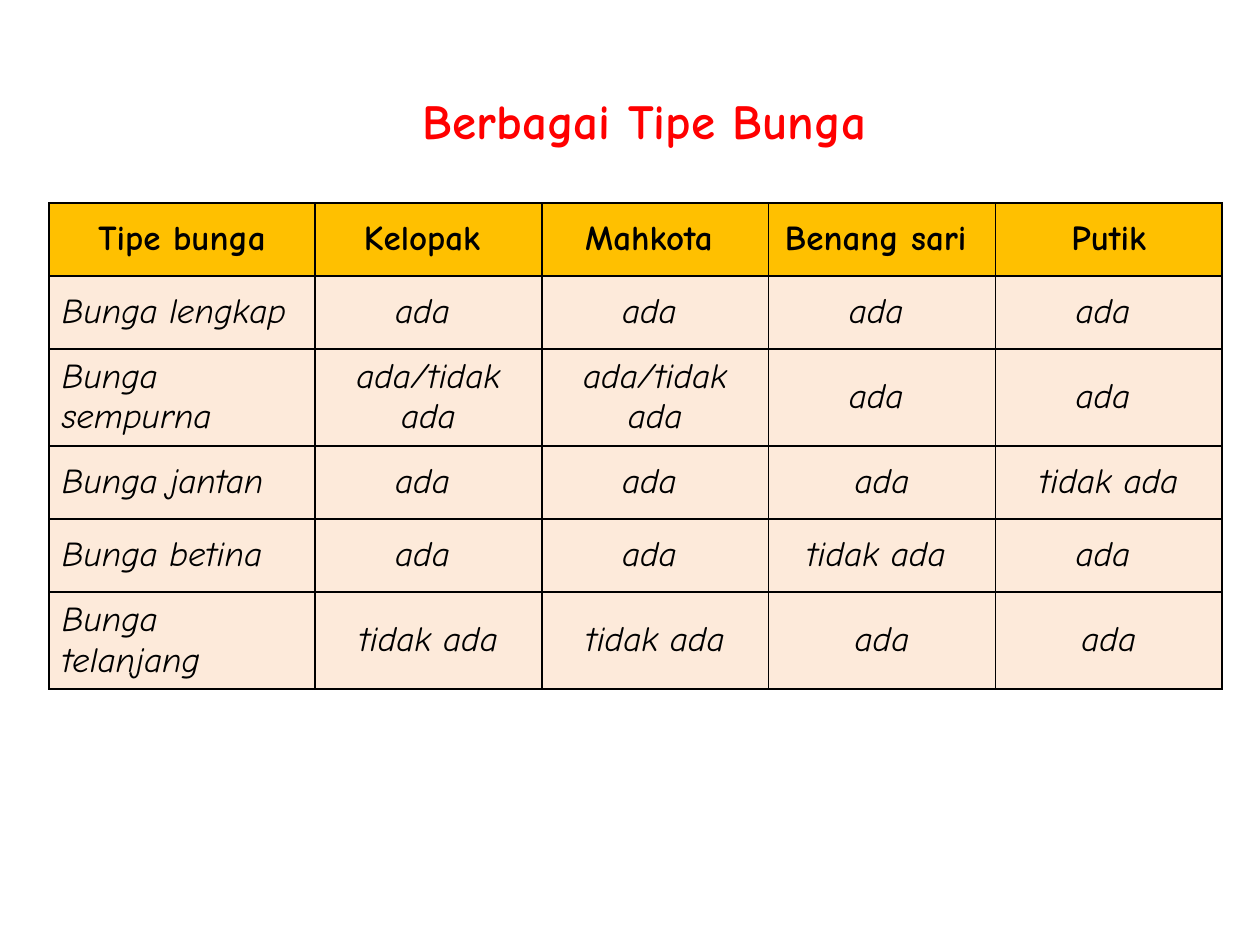
from lxml import etree
from pptx import Presentation
from pptx.dml.color import RGBColor
from pptx.enum.text import MSO_ANCHOR, MSO_AUTO_SIZE, PP_ALIGN
from pptx.oxml.ns import qn
from pptx.util import Inches, Pt

CENTER, LEFT = PP_ALIGN.CENTER, PP_ALIGN.LEFT
MIDDLE = MSO_ANCHOR.MIDDLE
FIT = MSO_AUTO_SIZE.SHAPE_TO_FIT_TEXT

RED = RGBColor(0xFF, 0x00, 0x00)
BLACK = RGBColor(0x00, 0x00, 0x00)
GOLD = RGBColor(0xFF, 0xC0, 0x00)
PEACH = RGBColor(0xFD, 0xEA, 0xDA)
FONT = "Comic Neue"

COLS = [2.11] + [1.8] * 4
LOW, HIGH = 0.58, 0.77
ROWS = [LOW, LOW, HIGH, LOW, LOW, HIGH]
DATA = [
    ["Tipe bunga", "Kelopak ", "Mahkota ", "Benang sari ", "Putik"],
    ["Bunga lengkap", "ada ", "ada ", "ada ", "ada "],
    ["Bunga sempurna", "ada/tidak ada", "ada/tidak ada", "ada ", "ada "],
    ["Bunga jantan", "ada ", "ada ", "ada", "tidak ada"],
    ["Bunga betina", "ada ", "ada ", "tidak ada ", "ada "],
    ["Bunga telanjang", "tidak ada", "tidak ada", "ada", "ada"],
]


def write(frame, text, size, color, align, bold=False, italic=False):
    """Put one styled run into the first paragraph of a frame."""
    para = frame.paragraphs[0]
    para.alignment = align
    run = para.add_run()
    run.text = text
    font = run.font
    font.name, font.size = FONT, Pt(size)
    font.bold, font.italic = bold, italic
    font.color.rgb = color


def border(cell):
    """Draw a thin black line on each side of a cell."""
    props = cell._tc.get_or_add_tcPr()
    for side in ("a:lnL", "a:lnR", "a:lnT", "a:lnB"):
        line = etree.SubElement(props, qn(side), w=str(Pt(1)))
        fill = etree.SubElement(line, qn("a:solidFill"))
        etree.SubElement(fill, qn("a:srgbClr"), val=str(BLACK))


def add_title(slide, text):
    """Place and style the slide title."""
    title = slide.shapes.title
    title.left, title.top = Inches(3.23), Inches(0.67)
    title.width, title.height = Inches(3.77), Inches(0.56)
    frame = title.text_frame
    frame.word_wrap = False
    frame.auto_size = FIT
    frame.vertical_anchor = MSO_ANCHOR.TOP
    write(frame, text, 28, RED, CENTER, bold=True)


def add_grid(slide):
    """Build the table of flower types."""
    table = slide.shapes.add_table(
        len(ROWS), len(COLS), Inches(0.39), Inches(1.61),
        Inches(sum(COLS)), Inches(sum(ROWS))).table
    for col, width in zip(table.columns, COLS):
        col.width = Inches(width)
    for row, height in zip(table.rows, ROWS):
        row.height = Inches(height)
    for r, texts in enumerate(DATA):
        head = r == 0
        for c, text in enumerate(texts):
            cell = table.cell(r, c)
            border(cell)
            cell.fill.solid()
            cell.fill.fore_color.rgb = GOLD if head else PEACH
            cell.vertical_anchor = MIDDLE
            align = CENTER if head or c else LEFT
            write(cell.text_frame, text, 20, BLACK, align, head, not head)


def main():
    """Make the slide and save it."""
    deck = Presentation()
    deck.slide_width, deck.slide_height = Inches(10), Inches(7.5)
    slide = deck.slides.add_slide(deck.slide_layouts[5])
    add_title(slide, "Berbagai Tipe Bunga")
    add_grid(slide)
    deck.save("out.pptx")


if __name__ == "__main__":
    main()
